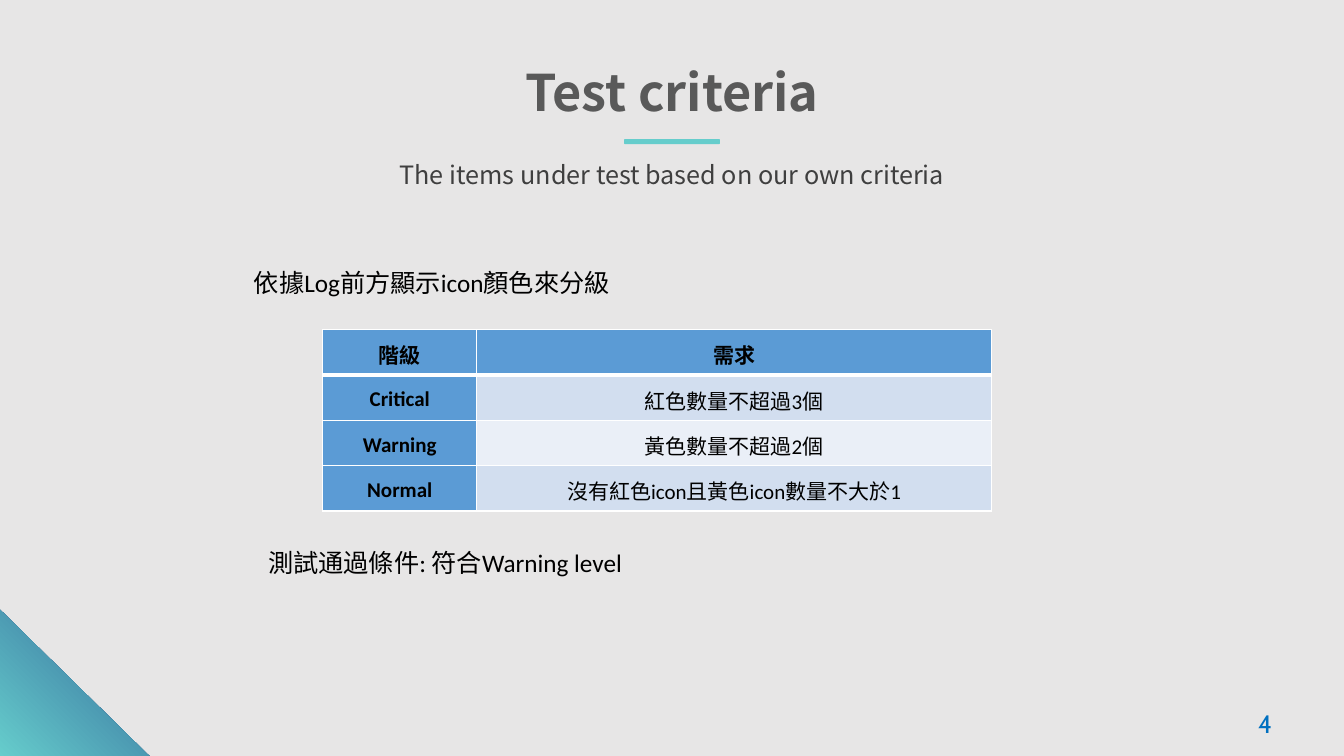
from lxml.etree import SubElement
from pptx import Presentation
from pptx.dml.color import RGBColor
from pptx.enum.shapes import MSO_SHAPE
from pptx.enum.text import MSO_ANCHOR, MSO_AUTO_SIZE, PP_ALIGN
from pptx.oxml.ns import qn
from pptx.util import Inches, Pt

# Content
TITLE = "Test criteria"
SUBTITLE = "The items under test based on our own criteria"
GRADING_RULE = "依據Log前方顯示icon顏色來分級"
PASS_CONDITION = "測試通過條件: 符合Warning level"
PAGE_NUMBER = "4"
CRITERIA = [
    ("階級", "需求"),
    ("Critical", "紅色數量不超過3個"),
    ("Warning", "黃色數量不超過2個"),
    ("Normal", "沒有紅色icon且黃色icon數量不大於1"),
]

# Style
HEADING_FONT, BODY_FONT, NUMBER_FONT = "Noto Sans CJK SC", "Calibri", "Cabin"
TEAL, BLUE, HEADER_BLUE = "66CDCC", "326698", "5B9BD5"
BAND_FILLS = ("D2DEEF", "EAEFF7")
COLUMN_WIDTHS = (1.53, 5.1)
ROW_HEIGHT = 0.45


def color(value):
    return RGBColor.from_string(value)


def set_text(frame, text, size, font, text_color, bold=False,
             align=PP_ALIGN.LEFT, spacing=1.0):
    frame.text = text
    paragraph = frame.paragraphs[0]
    paragraph.alignment = align
    paragraph.line_spacing = spacing
    run_font = paragraph.runs[0].font
    for name, value in {"size": Pt(size), "name": font, "bold": bold}.items():
        setattr(run_font, name, value)
    run_font.color.rgb = color(text_color)
    return paragraph


def place_text(shape, text, size, font, text_color, wrap=True, **options):
    frame = shape.text_frame
    settings = {"word_wrap": wrap, "vertical_anchor": MSO_ANCHOR.TOP,
                "auto_size": MSO_AUTO_SIZE.SHAPE_TO_FIT_TEXT}
    for name, value in settings.items():
        setattr(frame, name, value)
    return set_text(frame, text, size, font, text_color, **options)


def add_text(slide, box, *args, **options):
    shape = slide.shapes.add_textbox(*map(Inches, box))
    return place_text(shape, *args, **options)


def add_plain_shape(slide, kind, box):
    shape = slide.shapes.add_shape(kind, *map(Inches, box))
    shape.shadow.inherit = False
    shape.line.fill.background()
    return shape


def set_borders(cell, widths):
    properties = cell._tc.get_or_add_tcPr()
    for side, width in widths.items():
        line = SubElement(properties, qn(f"a:ln{side}"), w=str(Pt(width)))
        fill = SubElement(line, qn("a:solidFill"))
        SubElement(fill, qn("a:srgbClr"), val="FFFFFF")


def add_criteria_table(slide):
    rows, columns = len(CRITERIA), len(COLUMN_WIDTHS)
    table = slide.shapes.add_table(
        rows, columns, Inches(3.2), Inches(3.27),
        Inches(sum(COLUMN_WIDTHS)), Inches(ROW_HEIGHT * rows)).table
    for column, width in zip(table.columns, COLUMN_WIDTHS):
        column.width = Inches(width)
    for row_index, row in enumerate(CRITERIA):
        table.rows[row_index].height = Inches(ROW_HEIGHT)
        for column_index, text in enumerate(row):
            cell = table.cell(row_index, column_index)
            heading = row_index == 0 or column_index == 0
            set_borders(cell, {"L": 1, "R": 1,
                               "T": 3 if row_index == 1 else 1,
                               "B": 3 if row_index == 0 else 1})
            cell.fill.solid()
            cell.fill.fore_color.rgb = color(
                HEADER_BLUE if heading else BAND_FILLS[(row_index - 1) % 2])
            settings = {"margin_left": Inches(0.07), "margin_right": Inches(0.07),
                        "margin_top": 0, "margin_bottom": 0,
                        "vertical_anchor": MSO_ANCHOR.MIDDLE}
            for name, value in settings.items():
                setattr(cell, name, value)
            set_text(cell.text_frame, text, 15, BODY_FONT, "000000",
                     bold=heading, align=PP_ALIGN.CENTER, spacing=1.15)


def main():
    presentation = Presentation()
    presentation.slide_width = Inches(13.33)
    presentation.slide_height = Inches(7.5)
    slide = presentation.slides.add_slide(presentation.slide_layouts[5])
    slide.background.fill.solid()
    slide.background.fill.fore_color.rgb = color("E7E6E6")

    # Heading with its accent bar
    title = slide.shapes.title
    title.left, title.top, title.width, title.height = map(
        Inches, (5.05, 0.56, 3.23, 0.71))
    place_text(title, TITLE, 36, HEADING_FONT, "595959", wrap=False,
               bold=True, align=PP_ALIGN.CENTER)
    accent = add_plain_shape(slide, MSO_SHAPE.ROUNDED_RECTANGLE,
                             (6.19, 1.38, 0.95, 0.05))
    accent.fill.solid()
    accent.fill.fore_color.rgb = color(TEAL)
    add_text(slide, (3.86, 1.53, 5.61, 0.4), SUBTITLE, 18, HEADING_FONT,
             "3F3F3F", wrap=False, align=PP_ALIGN.CENTER)

    # Corner triangle
    corner = add_plain_shape(slide, MSO_SHAPE.RIGHT_TRIANGLE,
                             (0, 6.05, 1.49, 1.46))
    corner.fill.gradient()
    corner.fill.gradient_angle = 225
    for stop, value in zip(corner.fill.gradient_stops, (BLUE, TEAL)):
        stop.color.rgb = color(value)

    # Criteria and pass condition
    add_text(slide, (2.42, 2.6, 3.77, 0.4), GRADING_RULE, 18, BODY_FONT, "000000")
    add_criteria_table(slide)
    condition = add_text(slide, (2.23, 5.34, 4.15, 0.45), PASS_CONDITION, 18,
                         BODY_FONT, "000000", spacing=1.15)
    condition._p.get_or_add_pPr().set("marL", str(Inches(0.33)))

    # Page number
    add_text(slide, (12.38, 6.98, 0.69, 0.4), PAGE_NUMBER, 18, NUMBER_FONT, "0070C0")

    presentation.save("out.pptx")


if __name__ == "__main__":
    main()
